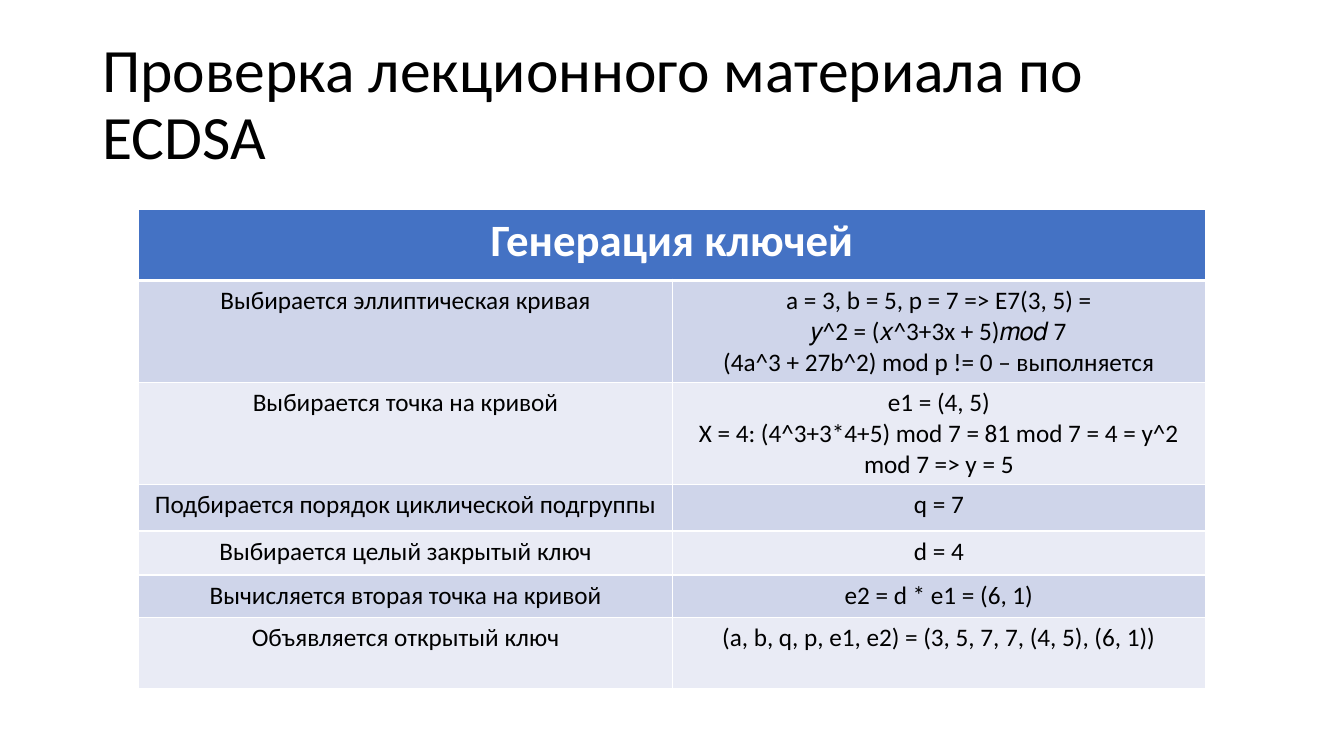
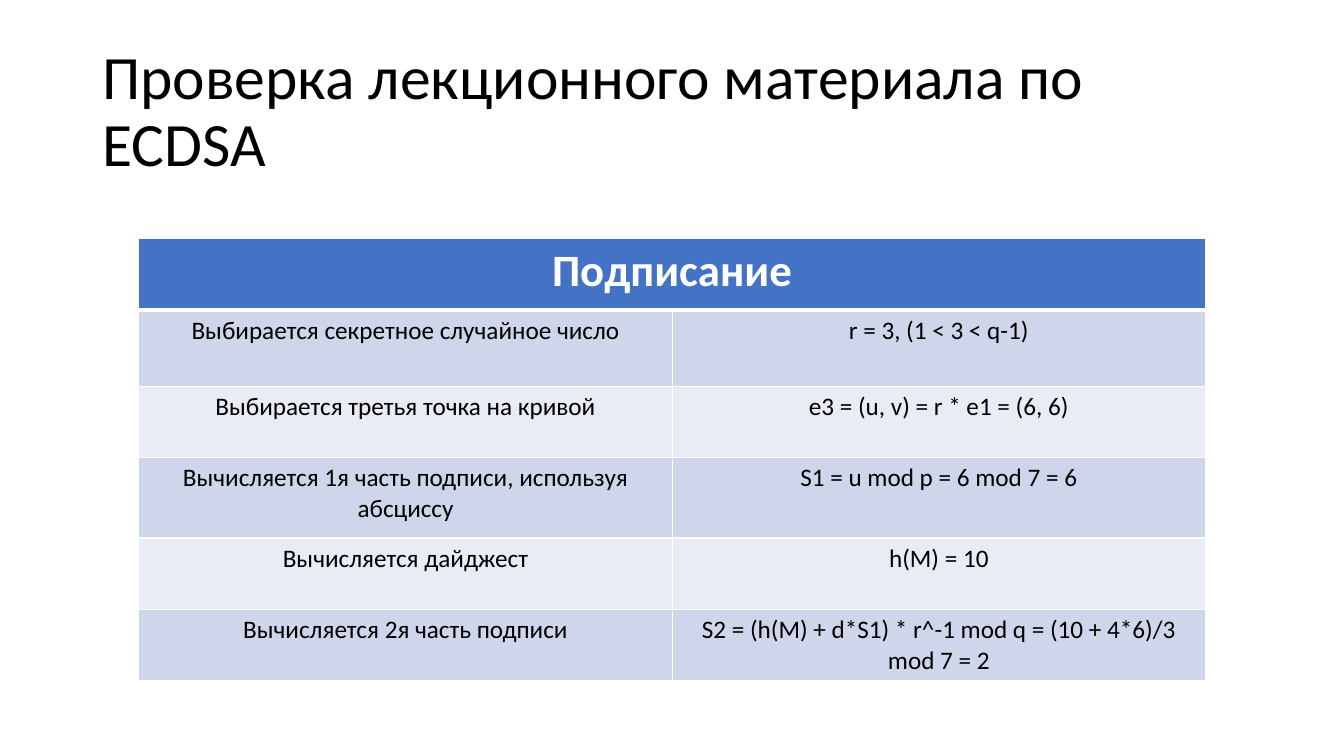
from lxml.etree import SubElement
from pptx import Presentation
from pptx.dml.color import RGBColor
from pptx.enum.text import MSO_ANCHOR, PP_ALIGN
from pptx.oxml.ns import qn
from pptx.util import Cm, Pt

WHITE = RGBColor(0xFF, 0xFF, 0xFF)
BLACK = RGBColor(0x00, 0x00, 0x00)
HEADER_BLUE = RGBColor(0x44, 0x72, 0xC4)
BANDS = (RGBColor(0xCF, 0xD5, 0xEA), RGBColor(0xE9, 0xEB, 0xF5))

FONT = "Calibri"
TITLE_FORMAT = {"name": FONT, "size": Pt(44), "bold": False}
HEADER_FORMAT = {"name": FONT, "size": Pt(32), "bold": True}
BODY_FORMAT = {"name": FONT, "size": Pt(18), "bold": False}

TITLE = "Проверка лекционного материала по ECDSA"
TITLE_LEFT, TITLE_WIDTH, TITLE_HEIGHT = Cm(2.33), Cm(29.21), Cm(3.68)
TABLE_LEFT, TABLE_WIDTH = Cm(3.5), Cm(26.88)
HEADER_HEIGHT = Cm(1.8)
THIN, THICK = Pt(1), Pt(3)

# Each step: row height in cm, action, calculation (one line per paragraph)
KEY_STEPS = [
    (2.57, "Выбирается эллиптическая кривая",
     "a = 3, b = 5, p = 7 => E7(3, 5) =\n"
     "𝑦^2 = (𝑥^3+3x + 5)𝑚𝑜𝑑 7\n"
     "(4a^3 + 27b^2) mod p != 0 – выполняется"),
    (2.57, "Выбирается точка на кривой",
     "e1 = (4, 5)\n"
     "X = 4: (4^3+3*4+5) mod 7 = 81 mod 7 = 4 = y^2 mod 7 => y = 5"),
    (1.17, "Подбирается порядок циклической подгруппы", "q = 7"),
    (1.11, "Выбирается целый закрытый ключ", "d = 4"),
    (1.07, "Вычисляется вторая точка на кривой", "e2 = d * e1 = (6, 1)"),
    (1.8, "Объявляется открытый ключ",
     "(a, b, q, p, e1, e2) = (3, 5, 7, 7, (4, 5), (6, 1))"),
]
SIGNING_STEPS = [
    (1.91, "Выбирается секретное случайное число", "r = 3, (1 < 3 < q-1)"),
    (1.8, "Выбирается третья точка на кривой", "e3 = (u, v) = r * e1 = (6, 6)"),
    (2.03, "Вычисляется 1я часть подписи, используя абсциссу",
     "S1 = u mod p = 6 mod 7 = 6"),
    (1.8, "Вычисляется дайджест", "h(M) = 10"),
    (1.8, "Вычисляется 2я часть подписи",
     "S2 = (h(M) + d*S1) * r^-1 mod q = (10 + 4*6)/3 mod 7 = 2"),
]


def write_text(frame, text, color, font_format, **paragraph_format):
    frame.text = text
    for paragraph in frame.paragraphs:
        for name, value in paragraph_format.items():
            setattr(paragraph, name, value)
        for run in paragraph.runs:
            for name, value in font_format.items():
                setattr(run.font, name, value)
            run.font.color.rgb = color


def add_title(slide, top):
    title = slide.shapes.add_textbox(TITLE_LEFT, top, TITLE_WIDTH, TITLE_HEIGHT)
    frame = title.text_frame
    frame.word_wrap = True
    frame.vertical_anchor = MSO_ANCHOR.MIDDLE
    write_text(frame, TITLE, BLACK, TITLE_FORMAT, line_spacing=0.9)


def set_borders(cell, top, bottom):
    """Draw white borders; the side borders are always thin."""
    properties = cell._tc.get_or_add_tcPr()
    widths = {"a:lnL": THIN, "a:lnR": THIN, "a:lnT": top, "a:lnB": bottom}
    for tag, width in widths.items():
        line = SubElement(properties, qn(tag), w=str(int(width)))
        fill = SubElement(line, qn("a:solidFill"))
        SubElement(fill, qn("a:srgbClr"), val=str(WHITE))


def style_cell(cell, fill, top=THIN, bottom=THIN):
    set_borders(cell, top, bottom)
    cell.fill.solid()
    cell.fill.fore_color.rgb = fill


def add_steps_table(slide, top, heading, steps):
    heights = [HEADER_HEIGHT] + [Cm(height) for height, _, _ in steps]
    table = slide.shapes.add_table(
        len(heights), 2, TABLE_LEFT, top, TABLE_WIDTH, sum(heights)).table
    table.horz_banding = False
    for row, height in zip(table.rows, heights):
        row.height = height

    for cell in table.rows[0].cells:
        style_cell(cell, HEADER_BLUE, bottom=THICK)
    header = table.cell(0, 0)
    header.merge(table.cell(0, 1))
    write_text(header.text_frame, heading, WHITE, HEADER_FORMAT,
               alignment=PP_ALIGN.CENTER)

    for index, (_, *texts) in enumerate(steps):
        for column, text in enumerate(texts):
            cell = table.cell(index + 1, column)
            style_cell(cell, BANDS[index % 2], top=THIN if index else THICK)
            write_text(cell.text_frame, text, BLACK, BODY_FORMAT,
                       alignment=PP_ALIGN.CENTER)


def add_steps_slide(presentation, title_top, table_top, heading, steps):
    slide = presentation.slides.add_slide(presentation.slide_layouts[6])
    add_title(slide, title_top)
    add_steps_table(slide, table_top, heading, steps)


def main():
    presentation = Presentation()
    presentation.slide_width = Cm(33.87)
    presentation.slide_height = Cm(19.05)
    add_steps_slide(presentation, Cm(0.83), Cm(5.27), "Генерация ключей", KEY_STEPS)
    add_steps_slide(presentation, Cm(1.01), Cm(6.02), "Подписание", SIGNING_STEPS)
    presentation.save("out.pptx")


if __name__ == "__main__":
    main()
